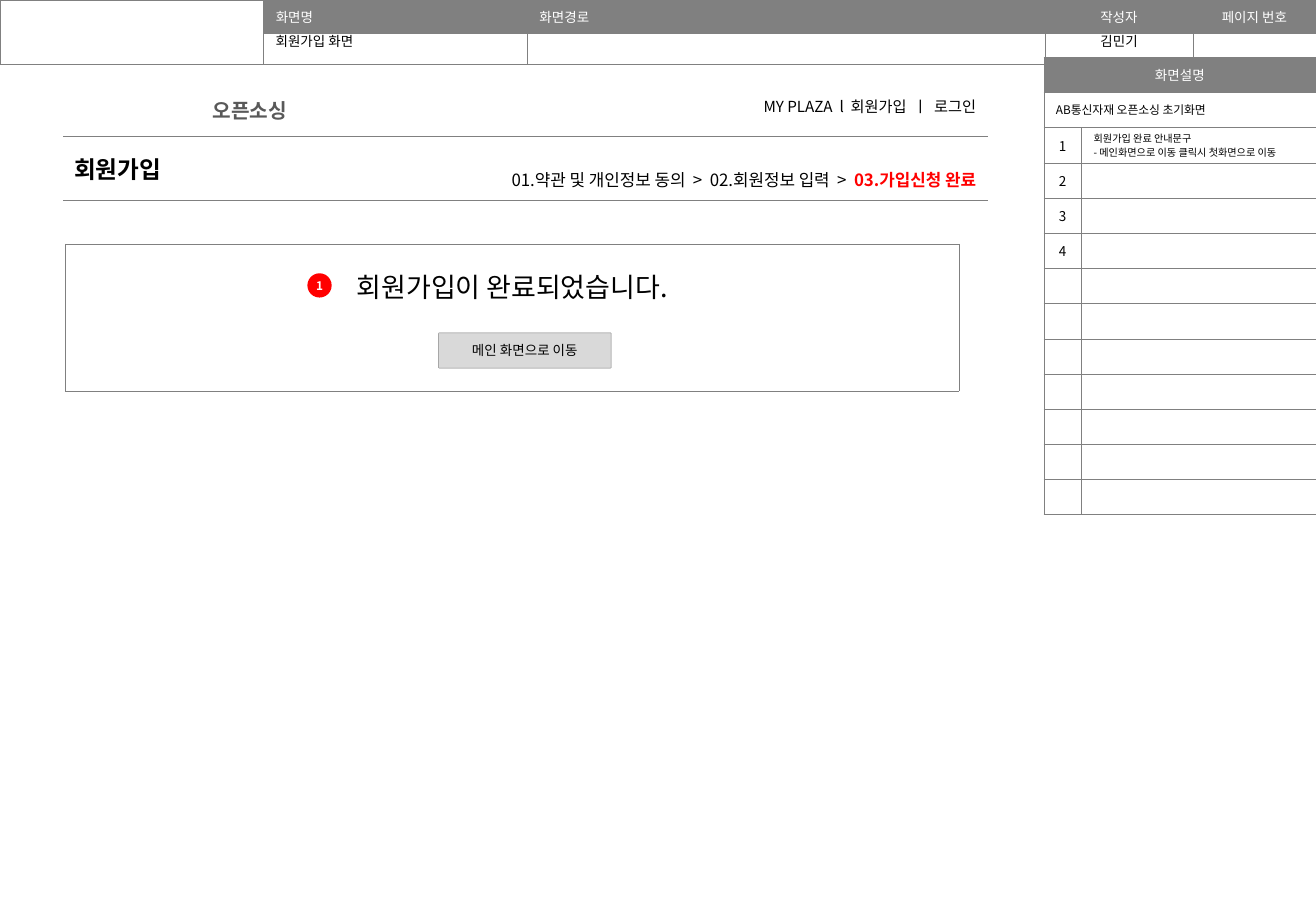
from lxml import etree
from pptx import Presentation
from pptx.dml.color import RGBColor
from pptx.enum.shapes import MSO_SHAPE
from pptx.enum.text import MSO_ANCHOR, PP_ALIGN
from pptx.oxml.ns import qn
from pptx.util import Inches, Pt

FONT = "Noto Sans CJK KR"
COLORS = {"gray": "808080", "white": "FFFFFF", "black": "000000",
          "brand": "595959", "red": "FF0000", "button": "D9D9D9"}
LEFT, CENTER, RIGHT = PP_ALIGN.LEFT, PP_ALIGN.CENTER, PP_ALIGN.RIGHT
TOP, MIDDLE = MSO_ANCHOR.TOP, MSO_ANCHOR.MIDDLE
ROUNDED = MSO_SHAPE.ROUNDED_RECTANGLE
HAIRLINE = 0.25


def rgb(name):
    return RGBColor.from_string(COLORS[name])


def style_run(run, size, color, bold):
    run.font.size, run.font.bold, run.font.name = Pt(size), bold, FONT
    run.font.color.rgb = rgb(color)
    etree.SubElement(run.font._element, qn("a:ea"), typeface=FONT)


def write(frame, text, size, color="black", bold=False, align=LEFT):
    frame.text = text
    for paragraph in frame.paragraphs:
        paragraph.alignment = align
        for run in paragraph.runs:
            style_run(run, size, color, bold)
        if not paragraph.runs:
            # Keeps an empty cell from growing its row
            etree.SubElement(paragraph._p, qn("a:endParaRPr"), sz=str(size * 100))


def set_margins(target, x, y):
    target.margin_left = target.margin_right = Inches(x)
    target.margin_top = target.margin_bottom = Inches(y)


def add_text(slide, box, text, size, wrap=True, anchor=TOP, margin_y=0.05, **style):
    frame = slide.shapes.add_textbox(*map(Inches, box)).text_frame
    frame.word_wrap, frame.vertical_anchor = wrap, anchor
    set_margins(frame, 0.1, margin_y)
    write(frame, text, size, **style)
    return frame


def add_label_shape(slide, box, radius, fill, line, margin, text, size, **style):
    shape = slide.shapes.add_shape(ROUNDED, *map(Inches, box))
    shape.adjustments[0] = radius
    shape.shadow.inherit = False
    shape.fill.solid()
    shape.fill.fore_color.rgb = rgb(fill)
    if line:
        shape.line.color.rgb = rgb(line)
        shape.line.width = Pt(HAIRLINE)
    else:
        shape.line.fill.background()
    frame = shape.text_frame
    frame.word_wrap, frame.vertical_anchor = True, MIDDLE
    set_margins(frame, margin, margin)
    write(frame, text, size, align=CENTER, **style)


def set_borders(cell, side_color):
    properties = cell._tc.get_or_add_tcPr()
    for index, side in enumerate("LRTB"):
        color, width = (side_color, 1) if side in "LR" and side_color != "gray" \
            else ("gray", HAIRLINE)
        line = etree.Element(qn(f"a:ln{side}"), w=str(Pt(width)))
        fill = etree.SubElement(line, qn("a:solidFill"))
        etree.SubElement(fill, qn("a:srgbClr"), val=COLORS[color])
        properties.insert(index, line)


def add_grid(slide, left, top, widths, heights, side_color="gray"):
    grid = slide.shapes.add_table(
        len(heights), len(widths), Inches(left), Inches(top),
        Inches(sum(widths)), Inches(sum(heights))).table
    grid.first_row = grid.horz_banding = False
    for column, width in zip(grid.columns, widths):
        column.width = Inches(width)
    for row, height in zip(grid.rows, heights):
        row.height = Inches(height)
    for cell in grid.iter_cells():
        fill_cell(cell, "", 6)
        set_borders(cell, side_color)
    return grid


def fill_cell(cell, text, size, fill="white", margin_y=0.03, **style):
    cell.fill.solid()
    cell.fill.fore_color.rgb = rgb(fill)
    cell.vertical_anchor = MIDDLE
    set_margins(cell, 0.1, margin_y)
    write(cell.text_frame, text, size, **style)


def document_header(slide, left, top):
    widths = [2.17, 2.17, 4.26, 1.22, 1.01]
    grid = add_grid(slide, left, top, widths, [0.27, 0.26])
    grid.cell(0, 0).merge(grid.cell(1, 0))
    titles = [("화면명", LEFT), ("화면경로", LEFT),
              ("작성자", CENTER), ("페이지 번호", CENTER)]
    for column, (title, align) in enumerate(titles, 1):
        fill_cell(grid.cell(0, column), title, 8, "gray", color="white", align=align)
    # Values below the titles
    value_top = top + 0.22
    add_text(slide, (left + widths[0], value_top, widths[1], 0.24), "회원가입 화면", 8)
    add_text(slide, (left + sum(widths[:3]), value_top, widths[3], 0.24),
             "김민기", 8, align=CENTER)


def page_heading(slide, left, top, width):
    # Title band between two rules
    band = add_grid(slide, left, top + 0.39, [width], [0.53], "white")
    fill_cell(band.cell(0, 0), "회원가입", 14, bold=True)
    add_text(slide, (left + 1.14, top + 0.03, 0.88, 0.3), "오픈소싱", 12,
             wrap=False, color="brand", bold=True)
    # Right-aligned menu and step trail
    menu_width = 4.67
    menu_left = left + width - menu_width - 0.01
    right_text = {"anchor": MIDDLE, "margin_y": 0.1, "align": RIGHT}
    add_text(slide, (menu_left, top, menu_width, 0.3),
             "MY PLAZA  l  회원가입  ㅣ  로그인", 9, **right_text)
    steps = add_text(slide, (menu_left, top + 0.6, menu_width, 0.3),
                     "01.약관 및 개인정보 동의  >  02.회원정보 입력  >  ", 10, **right_text)
    current = steps.paragraphs[0].add_run()
    current.text = "03.가입신청 완료"
    style_run(current, 10, "red", True)


def completion_panel(slide, left, top, width, height):
    message = add_grid(slide, left, top, [width], [height]).cell(0, 0)
    fill_cell(message, "회원가입이 완료되었습니다.", 16, margin_y=0.18, align=CENTER)
    message.vertical_anchor = TOP
    # Button and numbered marker
    add_label_shape(slide, (left + 3.07, top + 0.73, 1.42, 0.29), 0.02, "button",
                    "gray", 0.1, "메인 화면으로 이동", 8)
    add_label_shape(slide, (left + 1.99, top + 0.24, 0.2, 0.2), 0.5, "red",
                    None, 0, "1", 7, color="white", bold=True)


def description_panel(slide, left, top, height):
    row_count = 13
    grid = add_grid(slide, left, top, [0.31, 1.93], [height / row_count] * row_count)
    for row in range(2):
        grid.cell(row, 0).merge(grid.cell(row, 1))
    fill_cell(grid.cell(0, 0), "화면설명", 8, "gray", color="white", align=CENTER)
    fill_cell(grid.cell(1, 0), "AB통신자재 오픈소싱 초기화면", 7)
    notes = ["회원가입 완료 안내문구\n- 메인화면으로 이동 클릭시 첫화면으로 이동", "", "", ""]
    for number, note in enumerate(notes, 1):
        fill_cell(grid.cell(number + 1, 0), str(number), 8, align=CENTER)
        if note:
            fill_cell(grid.cell(number + 1, 1), note, 6, margin_y=0.02)


def main():
    deck = Presentation()
    deck.slide_width, deck.slide_height = Inches(10.83), Inches(7.5)
    slide = deck.slides.add_slide(deck.slide_layouts[6])
    document_header(slide, 0, 0)
    page_heading(slide, 0.51, 0.73, 7.63)
    completion_panel(slide, 0.54, 2.01, 7.35, 1.21)
    description_panel(slide, 8.59, 0.47, 3.77)
    deck.save("out.pptx")


if __name__ == "__main__":
    main()
